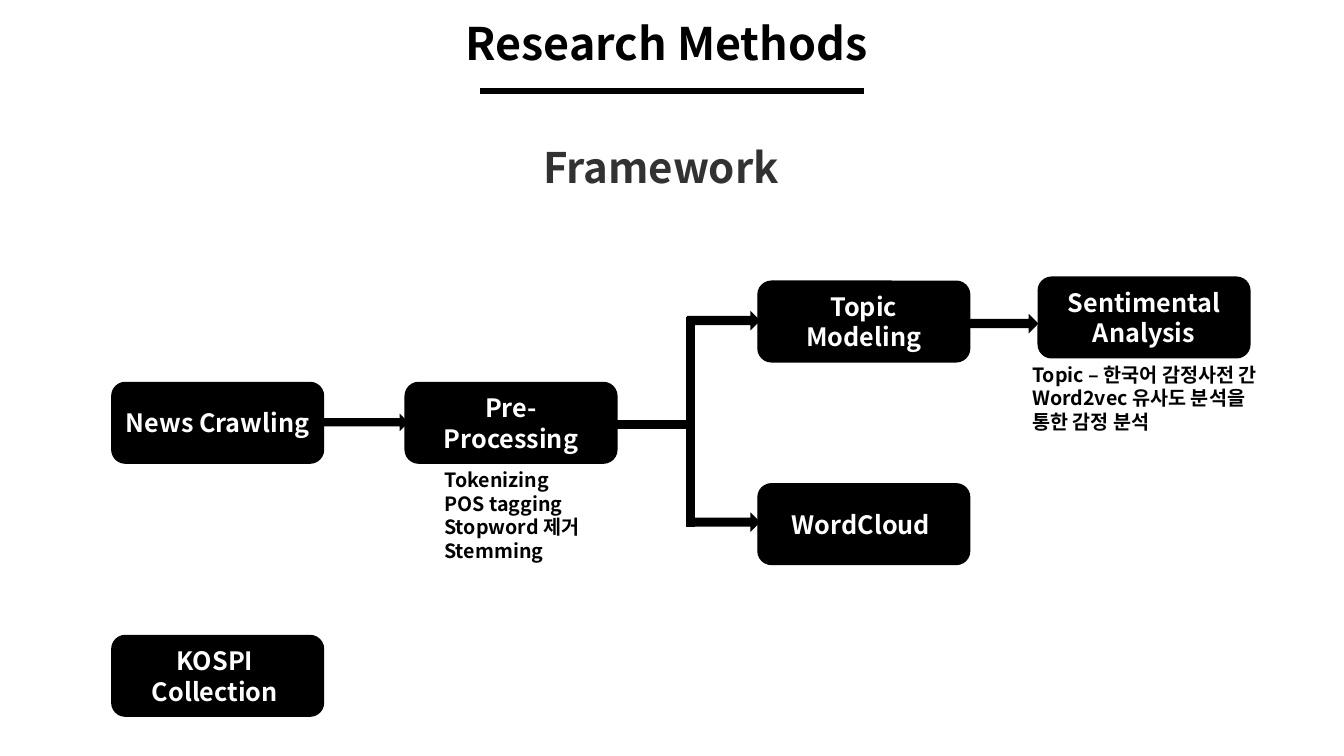
"""Build the Research Methods framework slide."""
from typing import NamedTuple

from lxml import etree
from pptx import Presentation
from pptx import util as u
from pptx.dml.color import RGBColor
from pptx.enum import shapes, text
from pptx.oxml.ns import qn

CELL = 0.1
FONT = "Noto Sans CJK KR"
COLOURS = {"ink": "000000", "paper": "FFFFFF", "grey": "323232"}
KIND = shapes.MSO_SHAPE
ALIGN = text.PP_ALIGN
ANCHOR = text.MSO_ANCHOR
STEP_SIZE = (21, 8)
ARROW_PT = 2.25


class Area(NamedTuple):
    col: float
    row: float
    cols: float
    rows: float


class Step(NamedTuple):
    label: str
    col: float
    row: float


class Link(NamedTuple):
    kind: int
    area: Area
    line: float


class Label(NamedTuple):
    words: str
    area: Area
    fmt: dict


HEADING = dict(align=ALIGN.CENTER, anchor=ANCHOR.MIDDLE, spacing=0.9)
LABELS = [
    Label("Research Methods ", Area(0, 0.1, 133.3, 8.9), dict(size=32, **HEADING)),
    Label("Framework ", Area(3.8, 11.4, 124.5, 11), dict(size=30, colour="grey", **HEADING)),
    Label("Tokenizing\nPOS tagging\nStopword 제거\nStemming", Area(43.1, 45.95, 19.2, 10.4), {}),
    Label("Topic – 한국어 감정사전 간 Word2vec 유사도 분석을 통한 감정 분석",
          Area(101.4, 35.5, 26.8, 8.1), {}),
]
STEPS = [
    Step("KOSPI \nCollection ", 11.1, 63.05),
    Step("News Crawling ", 11.1, 37.95),
    Step("Pre-Processing", 40.2, 37.95),
    Step("Sentimental Analysis", 103, 27.5),
    Step("Topic Modeling", 75.2, 27.9),
    Step("WordCloud ", 75.2, 48),
]
LINKS = [
    Link(KIND.RIGHT_ARROW, Area(32.1, 41.4, 8.2, 1), ARROW_PT),
    Link(KIND.RIGHT_ARROW, Area(68.3, 31.2, 6.9, 1.2), ARROW_PT),
    Link(KIND.RIGHT_ARROW, Area(68.3, 51.2, 6.9, 1.2), ARROW_PT),
    Link(KIND.RECTANGLE, Area(68.1, 31.5, 0.8, 20.7), 1),
    Link(KIND.RECTANGLE, Area(61.2, 41.7, 7.5, 0.8), 1),
    Link(KIND.RIGHT_ARROW, Area(95.9, 31.5, 6.9, 1.2), ARROW_PT),
]


def grid(cells: float) -> u.Inches:
    """Turn grid cells into a length."""
    return u.Inches(cells * CELL)


def rgb(name: str) -> RGBColor:
    """Look up a named colour."""
    return RGBColor.from_string(COLOURS[name])


def write(sp, words: str, *, size: float = 14, colour: str = "ink",
          align=ALIGN.LEFT, anchor=ANCHOR.TOP, spacing: float = 1.0) -> None:
    """Fill a shape with bold text, one paragraph per line."""
    tf = sp.text_frame
    tf.word_wrap = True
    tf.vertical_anchor = anchor
    for i, line in enumerate(words.split("\n")):
        p = tf.add_paragraph() if i else tf.paragraphs[0]
        p.alignment, p.line_spacing = align, spacing
        r = p.add_run()
        r.text = line
        r.font.size, r.font.bold, r.font.name = u.Pt(size), True, FONT
        r.font.color.rgb = rgb(colour)
        etree.SubElement(r.font._element, qn("a:ea"), typeface=FONT)


def add_block(s, kind: int, area: Area, line: float):
    """Draw a solid black shape with sharp outline corners."""
    sp = s.shapes.add_shape(kind, *map(grid, area))
    sp.shadow.inherit = False
    sp.fill.solid()
    sp.fill.fore_color.rgb = rgb("ink")
    sp.line.color.rgb = rgb("ink")
    sp.line.width = u.Pt(line)
    outline = sp._element.spPr.find(qn("a:ln"))
    etree.SubElement(outline, qn("a:miter"), lim="800000")
    return sp


def add_rule(s, left: float, right: float, row: float) -> None:
    """Draw the horizontal rule below the title."""
    ends = map(grid, (left, row, right, row))
    c = s.shapes.add_connector(shapes.MSO_CONNECTOR.STRAIGHT, *ends)
    c.line.color.rgb = rgb("ink")
    c.line.width = u.Pt(4.5)
    etree.SubElement(c._element.spPr, qn("a:effectLst"))


def main() -> None:
    """Build and save the slide."""
    prs = Presentation()
    prs.slide_width, prs.slide_height = grid(133.33), grid(75)
    s = prs.slides.add_slide(prs.slide_layouts[6])
    add_rule(s, 47.6, 85.7, 9)
    for step in STEPS:
        sp = add_block(s, KIND.ROUNDED_RECTANGLE, Area(step.col, step.row, *STEP_SIZE), 1)
        write(sp, step.label, size=18, colour="paper", align=ALIGN.CENTER, anchor=ANCHOR.MIDDLE)
    for link in LINKS:
        add_block(s, link.kind, link.area, link.line)
    for label in LABELS:
        write(s.shapes.add_textbox(*map(grid, label.area)), label.words, **label.fmt)
    prs.save("out.pptx")


if __name__ == "__main__":
    main()
